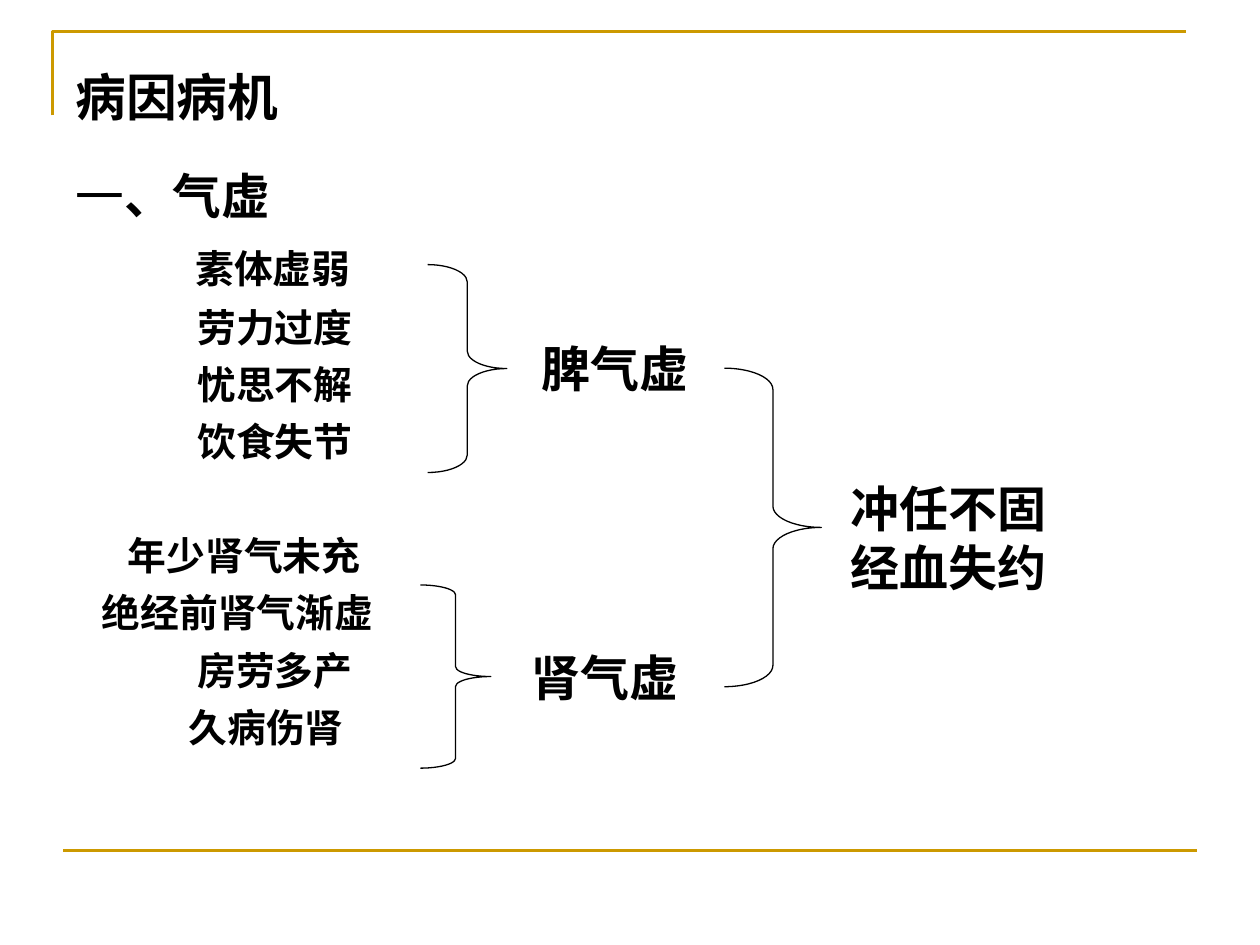
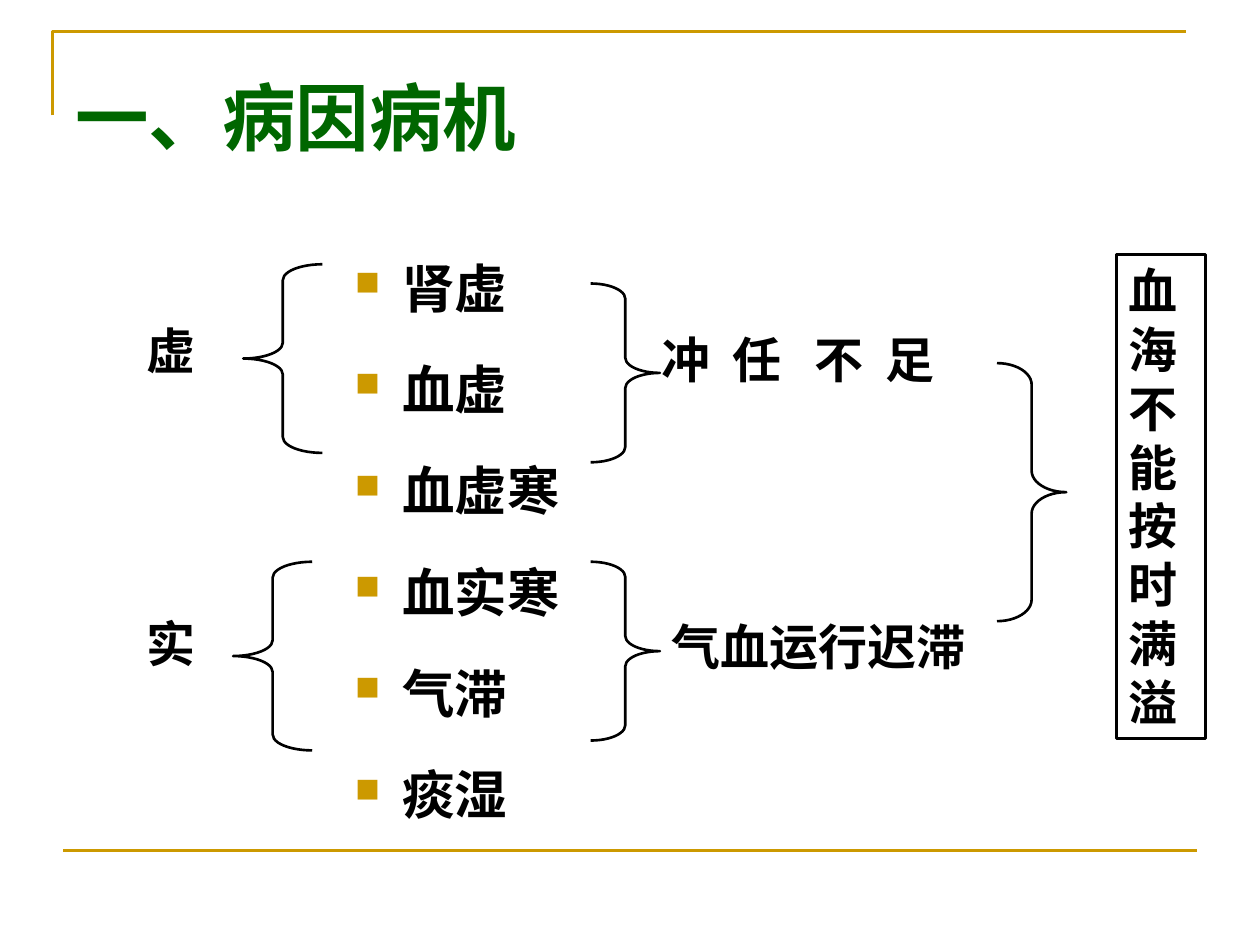
"""Build two slides on causes and mechanisms of disease."""
from dataclasses import dataclass

from lxml import etree
from pptx import Presentation
from pptx.dml.color import RGBColor
from pptx.enum.shapes import MSO_CONNECTOR, MSO_SHAPE
from pptx.enum.text import MSO_ANCHOR, PP_ALIGN
from pptx.oxml.ns import qn
from pptx.util import Pt

LEFT, RIGHT = MSO_SHAPE.LEFT_BRACE, MSO_SHAPE.RIGHT_BRACE
RECT, LINE = MSO_SHAPE.RECTANGLE, MSO_CONNECTOR.STRAIGHT
TOP, MID = MSO_ANCHOR.TOP, MSO_ANCHOR.MIDDLE
START = PP_ALIGN.LEFT


@dataclass(frozen=True)
class Theme:
    gold: RGBColor = RGBColor(0xCC, 0x99, 0x00)
    green: RGBColor = RGBColor(0x00, 0x66, 0x00)
    ink: RGBColor = RGBColor(0x00, 0x00, 0x00)
    serif: str = "Times New Roman"
    sans: str = "Arial"
    title: float = 29
    big: float = 42
    head: float = 27.8
    item: float = 22.2
    bullet: float = 30
    label: float = 28
    thin: float = 0.75
    rule: float = 1.5


theme = Theme()


def add_run(para, text, size, font=theme.serif, color=theme.ink, bold=True):
    run = para.add_run()
    run.text = text
    run.font.size = Pt(size)
    run.font.name = font
    run.font.bold = bold
    run.font.color.rgb = color
    return run


def add_box(slide, left, top, width, height, anchor=TOP):
    box = slide.shapes.add_textbox(Pt(left), Pt(top), Pt(width), Pt(height))
    frame = box.text_frame
    frame.word_wrap = True
    frame.vertical_anchor = anchor
    return frame


deck = Presentation()
deck.slide_width, deck.slide_height = Pt(720), Pt(540)
blank = deck.slide_layouts[6]
first, second = [deck.slides.add_slide(blank) for _ in range(2)]

for slide in (first, second):
    path = slide.shapes.build_freeform(Pt(30), Pt(66), scale=1.0)
    path.add_line_segments([(Pt(30), Pt(18)), (Pt(678), Pt(18))], close=False)
    corner = path.convert_to_shape()
    corner.shadow.inherit = False
    corner.fill.background()
    foot = slide.shapes.add_connector(LINE, Pt(36), Pt(486), Pt(684), Pt(486))
    etree.SubElement(foot._element.spPr, qn("a:effectLst"))
    for rule in (corner, foot):
        rule.line.color.rgb = theme.gold
        rule.line.width = Pt(theme.rule)

titles = [
    (first, "病因病机", 165.6, 67, theme.title, theme.ink),
    (second, "一、病因病机", 648, 90, theme.big, theme.green),
]
for slide, text, width, height, size, color in titles:
    frame = add_box(slide, 36, 21.6, width, height, MID)
    add_run(frame.paragraphs[0], text, size, color=color)

frame = add_box(first, 36, 91.4, 260.6, 357)
para = frame.paragraphs[0]
para.space_before = Pt(7.5)
add_run(para, "一", theme.head, theme.sans, bold=False)
add_run(para, "、气虚", theme.head, theme.sans)
causes = [
    ("素体虚弱", 68.5, 11.3),
    ("劳力过度", 69.6, 7.2),
    ("忧思不解", 69.6, 6),
    ("饮食失节", 69.6, 6),
    ("年少肾气未充", 29.8, 38.6),
    ("绝经前肾气渐虚", 14.9, 6),
    ("房劳多产", 69.6, 6),
    ("久病伤肾", 64.6, 6),
]
for text, indent, gap in causes:
    para = frame.add_paragraph()
    para.space_before = Pt(gap)
    para._p.get_or_add_pPr().set("marL", str(Pt(indent)))
    add_run(para, text, theme.item, theme.sans)

frame = add_box(second, 195.8, 128.2, 165.6, 374.4)
for row, text in enumerate(["肾虚", "血虚", "血虚寒", "血实寒", "气滞", "痰湿"]):
    para = frame.add_paragraph() if row else frame.paragraphs[0]
    para.space_before = Pt(7.5)
    para.line_spacing = 1.4
    props = para._p.get_or_add_pPr()
    props.set("marL", str(Pt(27)))
    props.set("indent", str(Pt(-27)))
    tint = etree.SubElement(props, qn("a:buClr"))
    etree.SubElement(tint, qn("a:srgbClr"), val=str(theme.gold))
    etree.SubElement(props, qn("a:buSzPct"), val="65000")
    etree.SubElement(props, qn("a:buChar"), char="■")
    add_run(para, text, theme.bullet, theme.sans)

labels = [
    (first, ["冲任不固", "经血失约"], 478.8, 270, 178),
    (first, ["脾气虚"], 302.2, 190, 110),
    (first, ["肾气虚"], 296.9, 366.6, 142),
    (second, ["虚"], 76.6, 179.5, 42.4),
    (second, ["实"], 76.6, 347.2, 42.4),
    (second, ["气血运行迟滞"], 376.6, 349, 190),
]
for slide, lines, left, top, width in labels:
    frame = add_box(slide, left, top, width, 7.2 + 33.8 * len(lines))
    for row, text in enumerate(lines):
        para = frame.add_paragraph() if row else frame.paragraphs[0]
        add_run(para, text, theme.label)

frame = add_box(second, 370.8, 185, 185, 41)
para = frame.paragraphs[0]
for text, gap in [("冲", 6.25), ("任", 12.5), ("不", 6.25), ("足", 0)]:
    add_run(para, text, theme.label)
    if gap:
        space = add_run(para, " ", theme.label)
        space.font._element.set("spc", str(int(gap * 100)))

braces = [
    (first, RIGHT, 244.4, 151.2, 45.2, 118.8, 0.22, theme.thin),
    (first, RIGHT, 240.2, 334.3, 40.3, 104.7, 0.14, theme.thin),
    (first, RIGHT, 414, 210.4, 55.4, 182, 0.22, theme.thin),
    (second, LEFT, 133.2, 321, 45.2, 107.8, 0.2, theme.rule),
    (second, LEFT, 139, 151, 45.2, 107.8, 0.2, theme.rule),
    (second, RIGHT, 337.5, 162, 39.6, 102.2, 0.22, theme.rule),
    (second, RIGHT, 337.5, 321, 39.6, 102.2, 0.22, theme.rule),
    (second, RIGHT, 569.7, 207.5, 39.6, 147.5, 0.31, theme.rule),
]
for slide, kind, left, top, width, height, bend, weight in braces:
    brace = slide.shapes.add_shape(kind, Pt(left), Pt(top), Pt(width), Pt(height))
    brace.shadow.inherit = False
    brace.adjustments[0] = bend
    brace.fill.background()
    brace.line.color.rgb = theme.ink
    brace.line.width = Pt(weight)

result = second.shapes.add_shape(RECT, Pt(637.9), Pt(145.4), Pt(51.1), Pt(276.5))
result.shadow.inherit = False
result.fill.background()
result.line.color.rgb = theme.ink
result.line.width = Pt(theme.rule)
frame = result.text_frame
frame.word_wrap = True
frame.vertical_anchor = TOP
para = frame.paragraphs[0]
para.alignment = START
add_run(para, "血海不能按时满溢", theme.label)

deck.save("out.pptx")
